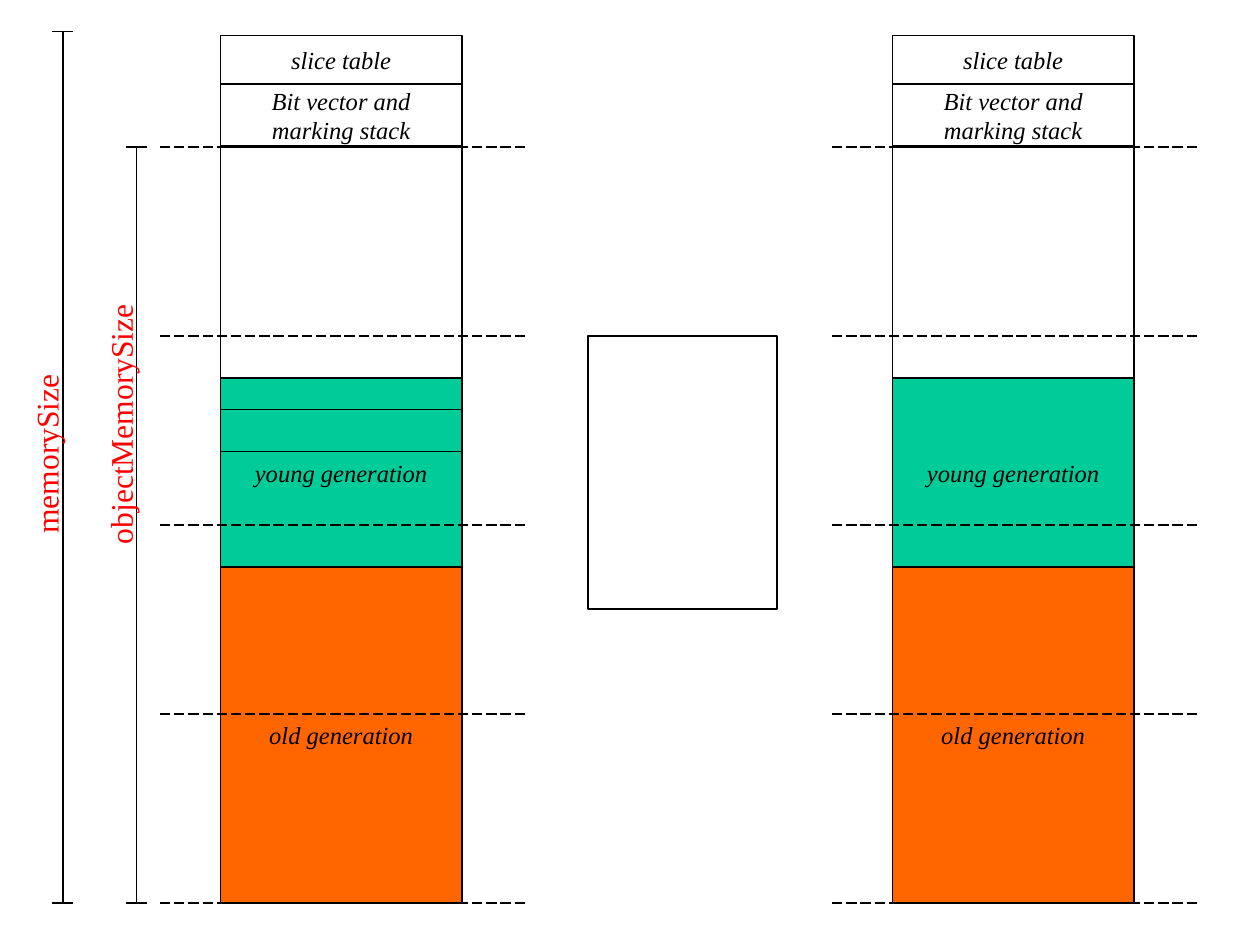
"""Draw two memory layouts with their size gauges."""

import dataclasses
import typing

import pptx
import pptx.dml.color
import pptx.enum.dml
import pptx.enum.shapes
import pptx.enum.text
import pptx.oxml.ns
import pptx.util
from lxml import etree

Pt = pptx.util.Pt
RGB = pptx.dml.color.RGBColor
ALIGN = pptx.enum.text.PP_ALIGN
ANCHOR = pptx.enum.text.MSO_ANCHOR
FIT = pptx.enum.text.MSO_AUTO_SIZE
DASH = pptx.enum.dml.MSO_LINE
KIND = pptx.enum.shapes.MSO_SHAPE
LINK = pptx.enum.shapes.MSO_CONNECTOR

BLACK = RGB(0x00, 0x00, 0x00)
RED = RGB(0xFF, 0x00, 0x00)
GREEN = RGB(0x00, 0xCC, 0x99)
ORANGE = RGB(0xFF, 0x66, 0x00)

FONT = "Times New Roman"
WIDTH = 138
LEFTS = (126, 510)
HEAP, BASE = 84, 516
STEP = 108


@dataclasses.dataclass(frozen=True)
class Block:
    top: float
    height: float
    text: str = ""
    fill: typing.Optional[RGB] = None
    wrap: bool = True


@dataclasses.dataclass(frozen=True)
class Gauge:
    text: str
    x: float
    top: float
    mid_x: float
    mid_y: float


BLOCKS = (
    Block(324, 192, "old generation", ORANGE, wrap=False),
    Block(216, 108, "young generation", GREEN),
    Block(HEAP, 132),
    Block(48, 35.5, "Bit vector and marking stack"),
    Block(20.25, 27.75, "slice table"),
)
GAUGES = (
    Gauge("memorySize", 36, 18, 26.3, 231),
    Gauge("objectMemorySize", 78, HEAP, 68.8, 237),
)


def write(frame, text: str, *, size: float, color: RGB, space: float,
          italic: bool = False, align=ALIGN.LEFT, anchor=ANCHOR.TOP,
          wrap: bool = True) -> None:
    frame.word_wrap = wrap
    frame.vertical_anchor = anchor
    para = frame.paragraphs[0]
    para.alignment = align
    para.space_before = Pt(space)
    run = para.add_run()
    run.text = text
    run.font.name = FONT
    run.font.size = Pt(size)
    run.font.italic = italic
    run.font.color.rgb = color


def line(slide, x1: float, y1: float, x2: float, y2: float, dash=None) -> None:
    link = slide.shapes.add_connector(
        LINK.STRAIGHT, Pt(x1), Pt(y1), Pt(x2), Pt(y2))
    link.line.color.rgb = BLACK
    link.line.width = Pt(0.75)
    if dash:
        link.line.dash_style = dash
    etree.SubElement(link.element.spPr, pptx.oxml.ns.qn("a:effectLst"))


def draw(slide, left: float, width: float, block: Block) -> None:
    box = slide.shapes.add_shape(
        KIND.RECTANGLE, Pt(left), Pt(block.top), Pt(width), Pt(block.height))
    box.shadow.inherit = False
    box.line.color.rgb = BLACK
    box.line.width = Pt(0.75)
    if block.fill:
        box.fill.solid()
        box.fill.fore_color.rgb = block.fill
    else:
        box.fill.background()
    if block.text:
        write(box.text_frame, block.text, size=14, color=BLACK, space=8.8,
              italic=True, align=ALIGN.CENTER, anchor=ANCHOR.MIDDLE,
              wrap=block.wrap)


def stack(slide, left: float) -> None:
    for block in BLOCKS:
        draw(slide, left, WIDTH, block)
    for y in range(HEAP, BASE + 1, STEP):
        line(slide, left + 174, y, left - 36, y, DASH.LONG_DASH)


def scale(slide, gauge: Gauge) -> None:
    line(slide, gauge.x, gauge.top, gauge.x, BASE)
    for y in (BASE, gauge.top):
        line(slide, gauge.x - 6, y, gauge.x + 6, y)
    width, height = 162, 28.8
    box = slide.shapes.add_textbox(
        Pt(gauge.mid_x - width / 2), Pt(gauge.mid_y - height / 2),
        Pt(width), Pt(height))
    box.rotation = 270
    box.text_frame.auto_size = FIT.SHAPE_TO_FIT_TEXT
    write(box.text_frame, gauge.text, size=18, color=RED, space=11.2)


def main() -> None:
    deck = pptx.Presentation()
    deck.slide_width, deck.slide_height = Pt(720), Pt(540)
    slide = deck.slides.add_slide(deck.slide_layouts[6])
    for gauge in GAUGES:
        scale(slide, gauge)
    for left in LEFTS:
        stack(slide, left)
    draw(slide, 336, 108, Block(192, 156))
    draw(slide, LEFTS[0], WIDTH, Block(234, 24))
    deck.save("out.pptx")


if __name__ == "__main__":
    main()
